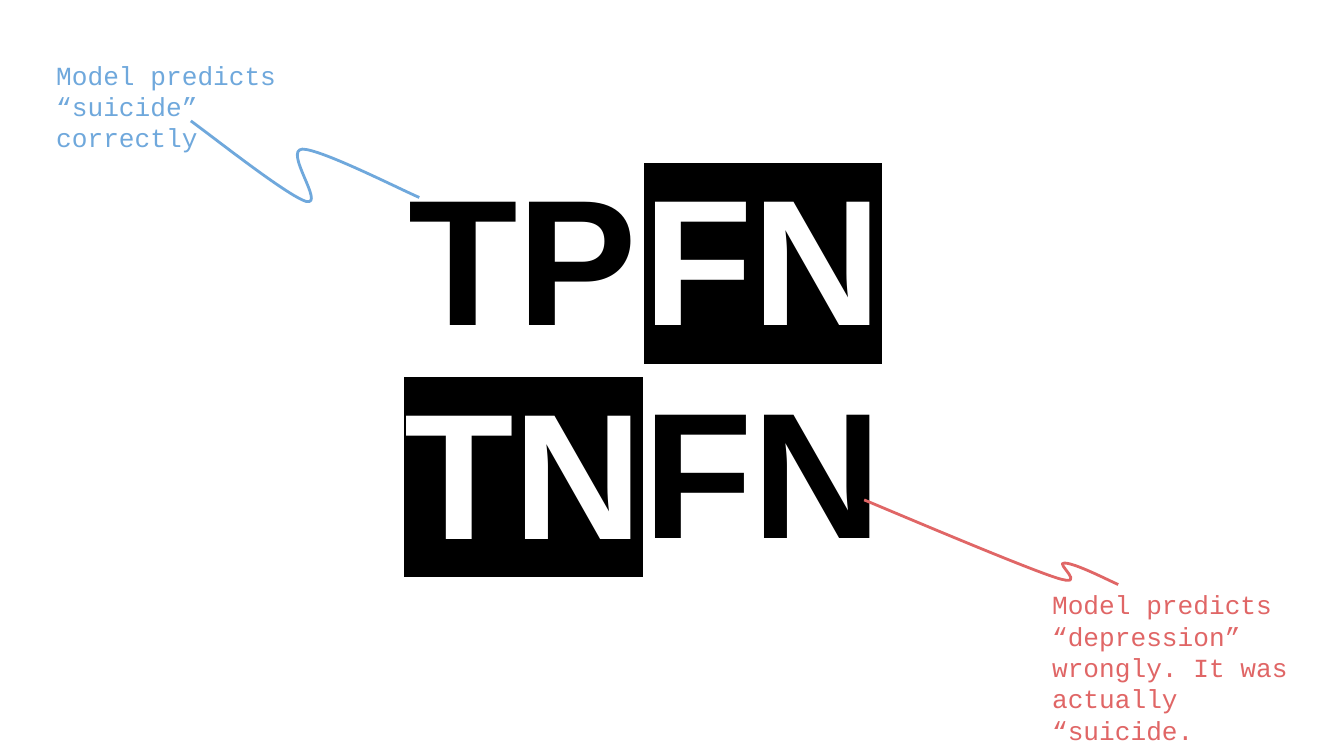
from pptx import Presentation
from pptx.dml.color import RGBColor
from pptx.enum.text import MSO_ANCHOR as Anchor
from pptx.oxml import parse_xml
from pptx.oxml.ns import nsdecls, qn
from pptx.util import Inches, Pt
from lxml import etree

BLACK = RGBColor(0x00, 0x00, 0x00)
WHITE = RGBColor(0xFF, 0xFF, 0xFF)
BLUE = RGBColor(0x6F, 0xA8, 0xDC)
RED = RGBColor(0xE0, 0x66, 0x66)

# Confusion matrix cells: text, left, top, width, text colour, highlight
CELLS = [
    ("TP", 2.94, 0.99, 2.17, BLACK, None),
    ("FN", 4.69, 0.99, 2.17, WHITE, BLACK),
    ("FN", 4.69, 2.57, 2.17, BLACK, None),
    ("TN", 2.91, 2.58, 2.07, WHITE, BLACK),
]

# Callouts: text, left, top, colour, start and control points of the curve
CALLOUTS = [
    ("Model predicts “suicide” correctly", 0.32, 0.34, BLUE,
     [(1.42, 0.9), (1.56, 1), (2.14, 1.46), (2.28, 1.5), (2.42, 1.53),
      (2.11, 1.12), (2.25, 1.11), (2.39, 1.11), (2.98, 1.41), (3.12, 1.47)]),
    ("Model predicts “depression” wrongly. It was actually “suicide.",
     7.73, 4.28, RED,
     [(6.43, 3.72), (6.67, 3.82), (7.61, 4.22), (7.86, 4.3), (8.11, 4.38),
      (7.84, 4.18), (7.92, 4.19), (8, 4.19), (8.25, 4.32), (8.32, 4.35)]),
]


def add_text(slide, text, left, top, width, height, *, size, font, color,
             bold=False, highlight=None):
    box = slide.shapes.add_textbox(
        Inches(left), Inches(top), Inches(width), Inches(height))
    frame = box.text_frame
    frame.word_wrap = True
    frame.vertical_anchor = Anchor.TOP
    frame.margin_left = frame.margin_right = Inches(0.1)
    frame.margin_top = frame.margin_bottom = Inches(0.1)
    span = frame.paragraphs[0].add_run()
    span.text = text
    span.font.size = Pt(size)
    span.font.name = font
    span.font.bold = bold
    span.font.color.rgb = color
    if highlight is not None:
        # The highlight belongs right after the text fill
        fill = span.font._element.find(qn("a:solidFill"))
        fill.addnext(parse_xml(
            f'<a:highlight {nsdecls("a")}><a:srgbClr val="{highlight}"/></a:highlight>'))


def add_curve(slide, points, color):
    """Draw a chain of cubic curves: a start, then three points per curve."""
    corners = [(Inches(x), Inches(y)) for x, y in points]
    builder = slide.shapes.build_freeform(*corners[0])
    builder.add_line_segments(corners[1:], close=False)
    curve = builder.convert_to_shape()
    curve.shadow.inherit = False
    curve.fill.background()
    curve.line.color.rgb = color
    curve.line.width = Pt(1.5)
    # Group each three line targets into one cubic segment
    outline = curve._element.find(".//" + qn("a:path"))
    segments = outline.findall(qn("a:lnTo"))
    for start in range(0, len(segments), 3):
        cubic = etree.SubElement(outline, qn("a:cubicBezTo"))
        for segment in segments[start:start + 3]:
            cubic.append(segment[0])
            outline.remove(segment)


def main():
    # Widescreen page, 16 to 9
    deck = Presentation()
    deck.slide_width = Inches(10)
    deck.slide_height = deck.slide_width * 9 // 16
    page = deck.slides.add_slide(deck.slide_layouts[6])

    # Confusion matrix
    for text, left, top, width, color, highlight in CELLS:
        add_text(page, text, left, top, width, 1.92, size=96, font="Arial",
                 color=color, bold=True, highlight=highlight)

    # Callouts with their curved leaders
    for text, left, top, color, points in CALLOUTS:
        add_curve(page, points, color)
        add_text(page, text, left, top, 2.29, 0.96, size=14,
                 font="Courier New", color=color)

    deck.save("out.pptx")


if __name__ == "__main__":
    main()
